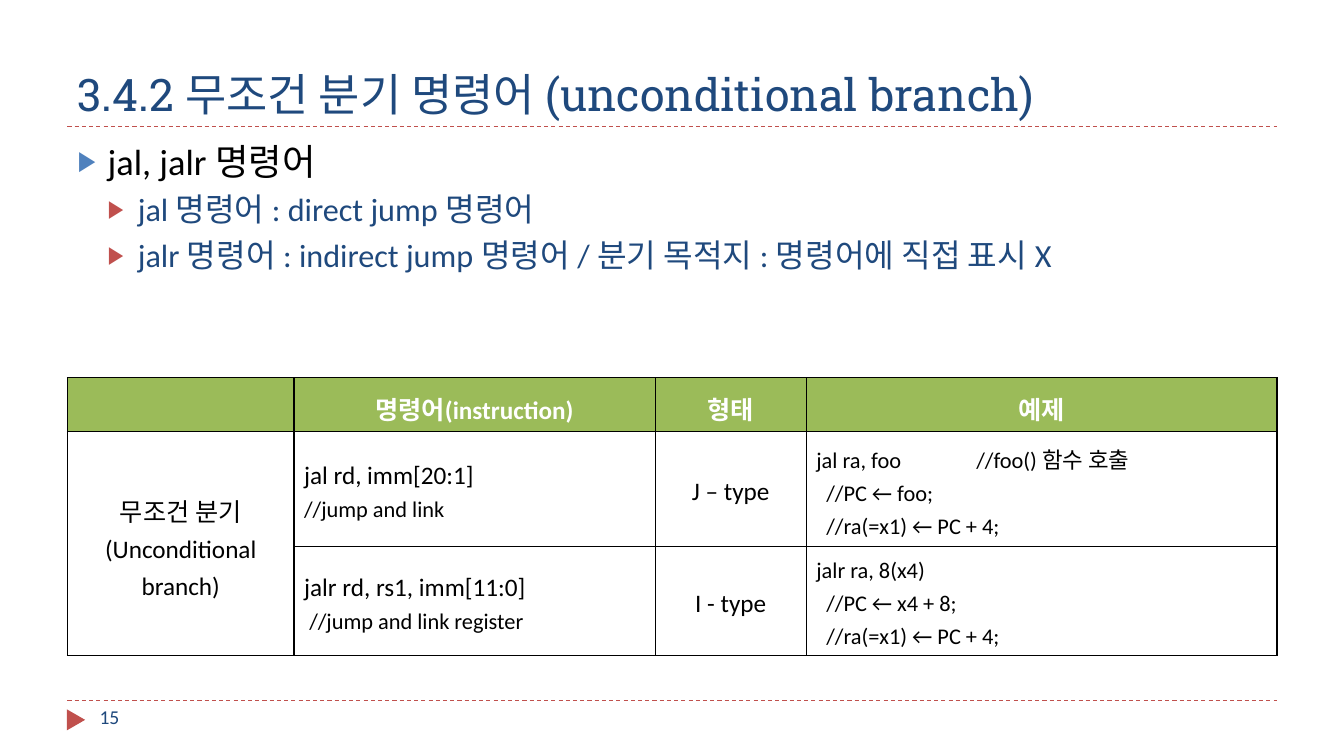
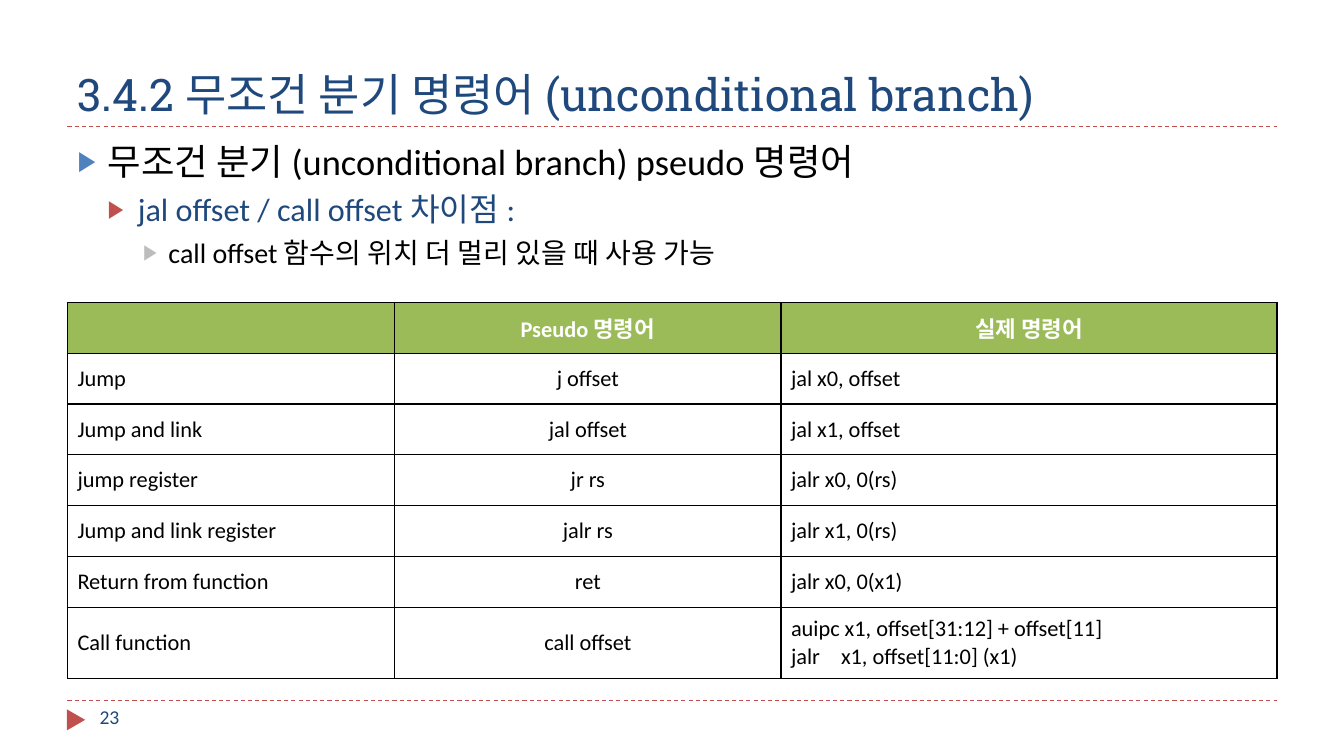
"""Build two lecture slides on unconditional branch instructions."""
import lxml.etree
import pptx
import pptx.dml.color
import pptx.enum.dml
import pptx.enum.shapes
import pptx.enum.text
import pptx.oxml.ns
import pptx.util

Cm = pptx.util.Cm
Pt = pptx.util.Pt
ALIGN = pptx.enum.text.PP_ALIGN
ANCHOR = pptx.enum.text.MSO_ANCHOR

NAVY, RED, BLUE, GRAY = "1F497D", "C0504D", "4F81BD", "BDBDBD"
GREEN, BLACK, WHITE = "9BBB59", "000000", "FFFFFF"
LEFT, WIDTH = 1.7, 30.48
TITLE = "3.4.2 무조건 분기 명령어 (unconditional branch)"

LEVELS = [
    {"size": 26, "color": BLACK, "bullet": BLUE, "before": 6, "margin": 0.76, "hang": 0.76},
    {"size": 23, "color": NAVY, "bullet": RED, "before": 5, "margin": 1.52, "hang": 0.76},
    {"size": 20, "color": BLACK, "bullet": GRAY, "before": 5, "margin": 2.29, "hang": 0.64},
]

# Table lines are plain text, or (text, size, indent in cm).
SLIDES = [
    {
        "number": "15",
        "title_width": 31.95,
        "points": [
            (0, "jal, jalr 명령어"),
            (1, "jal 명령어 : direct jump 명령어"),
            (1, "jalr 명령어 : indirect jump 명령어 / 분기 목적지 : 명령어에 직접 표시 X"),
        ],
        "table": {
            "top": 9.52,
            "columns": [5.71, 9.1, 3.81, 11.86],
            "heights": [1.35, 2.9, 2.75],
            "aligns": [ALIGN.CENTER, ALIGN.LEFT, ALIGN.CENTER, ALIGN.LEFT],
            "anchors": [ANCHOR.MIDDLE, ANCHOR.MIDDLE, ANCHOR.MIDDLE, ANCHOR.TOP],
            "sizes": [18, 18, 18, 16],
            "header_size": 18,
            "spacing": 1.2,
            "tab": 4.03,
            "merge": ((1, 0), (2, 0)),
            "rows": [
                [[], ["명령어(instruction)"], ["형태"], ["예제"]],
                [
                    ["무조건 분기", "(Unconditional", "branch)"],
                    ["jal rd, imm[20:1]", ("//jump and link", 16, 0)],
                    ["J – type"],
                    ["jal ra, foo\t//foo() 함수 호출", ("//PC ← foo;", 16, 0.25),
                     ("//ra(=x1) ← PC + 4;", 16, 0.25)],
                ],
                [
                    [],
                    ["jalr rd, rs1, imm[11:0]", ("//jump and link register", 16, 0.13)],
                    ["I - type"],
                    ["jalr ra, 8(x4)", ("//PC ← x4 + 8;", 16, 0.25),
                     ("//ra(=x1) ← PC + 4;", 16, 0.25)],
                ],
            ],
        },
    },
    {
        "number": "23",
        "title_width": WIDTH,
        "points": [
            (0, "무조건 분기 (unconditional branch) pseudo 명령어"),
            (1, "jal offset / call offset 차이점 :"),
            (2, "call offset 함수의 위치 더 멀리 있을 때 사용 가능"),
        ],
        "table": {
            "top": 7.62,
            "columns": [8.25, 9.73, 12.5],
            "heights": [1.28] * 6 + [1.8],
            "aligns": [ALIGN.LEFT, ALIGN.CENTER, ALIGN.LEFT],
            "anchors": [ANCHOR.MIDDLE] * 3,
            "sizes": [16] * 3,
            "header_size": 16,
            "spacing": 1.0,
            "tab": 1.26,
            "merge": None,
            "rows": [
                [[], ["Pseudo 명령어"], ["실제 명령어"]],
                [["Jump"], ["j offset"], ["jal x0, offset"]],
                [["Jump and link"], ["jal offset"], ["jal x1, offset"]],
                [["jump register"], ["jr rs"], ["jalr x0, 0(rs)"]],
                [["Jump and link register"], ["jalr rs"], ["jalr x1, 0(rs)"]],
                [["Return from function"], ["ret"], ["jalr x0, 0(x1)"]],
                [["Call function"], ["call offset"],
                 ["auipc x1, offset[31:12] + offset[11]", "jalr\tx1, offset[11:0] (x1)"]],
            ],
        },
    },
]


def rgb(value):
    """Turn a hex string into a colour."""
    return pptx.dml.color.RGBColor.from_string(value)


def assign(target, **values):
    """Set each named attribute on the target."""
    for name, value in values.items():
        setattr(target, name, value)


def child(parent, tag, **attributes):
    """Append a DrawingML element with the given attributes."""
    element = lxml.etree.SubElement(parent, pptx.oxml.ns.qn("a:" + tag))
    for name, value in attributes.items():
        element.set(name, str(value))
    return element


def write(paragraph, text, size, color, font="Calibri", bold=False):
    """Add one formatted run to a paragraph."""
    run = paragraph.add_run()
    run.text = text
    assign(run.font, size=Pt(size), name=font, bold=bold)
    run.font.color.rgb = rgb(color)


def place(part, left, top, width, height):
    """Move and size a part, in centimetres."""
    assign(part, left=Cm(left), top=Cm(top), width=Cm(width), height=Cm(height))


def paragraphs(frame, count):
    """Return the first paragraph of a frame and enough new ones."""
    return [frame.paragraphs[0]] + [frame.add_paragraph() for _ in range(count - 1)]


def add_title(slide, width):
    """Fill the title placeholder."""
    title = slide.shapes.title
    place(title, LEFT, 0.43, width, 2.74)
    assign(title.text_frame, vertical_anchor=ANCHOR.BOTTOM, word_wrap=True,
           auto_size=pptx.enum.text.MSO_AUTO_SIZE.NONE)
    heading = title.text_frame.paragraphs[0]
    heading.alignment = ALIGN.LEFT
    write(heading, TITLE, 32, NAVY, "Roboto Slab")


def add_points(slide, points):
    """Fill the body placeholder with arrow bullets."""
    body = slide.placeholders[1]
    place(body, LEFT, 3.38, WIDTH, 13.72)
    assign(body.text_frame, vertical_anchor=ANCHOR.TOP, word_wrap=True,
           auto_size=pptx.enum.text.MSO_AUTO_SIZE.NONE)
    for point, (level, text) in zip(paragraphs(body.text_frame, len(points)), points):
        style = LEVELS[level]
        assign(point, level=level, space_before=Pt(style["before"]))
        properties = point._p.get_or_add_pPr()
        properties.set("marL", str(Cm(style["margin"])))
        properties.set("indent", str(-Cm(style["hang"])))
        child(child(properties, "buClr"), "srgbClr", val=style["bullet"])
        child(properties, "buSzPct", val=76000)
        child(properties, "buChar", char="▶")
        write(point, text, style["size"], style["color"])


def add_frame(slide, number):
    """Add the dashed rules, the page marker and the page number."""
    for height in (17.65, 3.18):
        rule = slide.shapes.add_connector(
            pptx.enum.shapes.MSO_CONNECTOR.STRAIGHT,
            Cm(LEFT), Cm(height), Cm(LEFT + WIDTH), Cm(height))
        rule.line.color.rgb = rgb(RED)
        assign(rule.line, width=Pt(0.75), dash_style=pptx.enum.dml.MSO_LINE.DASH)
        child(rule._element.spPr, "effectLst")
    marker = slide.shapes.add_shape(
        pptx.enum.shapes.MSO_SHAPE.ISOSCELES_TRIANGLE, Cm(1.65), Cm(17.91), Cm(0.53), Cm(0.46))
    marker.rotation = 90
    marker.shadow.inherit = False
    marker.fill.solid()
    marker.fill.fore_color.rgb = rgb(RED)
    marker.line.fill.background()
    page = slide.shapes.add_textbox(Cm(2.26), Cm(17.65), Cm(7.34), Cm(1.02))
    page.text_frame.word_wrap = True
    write(page.text_frame.paragraphs[0], number, 14, NAVY)


def style_cell(cell, fill):
    """Give a cell black borders and a solid fill."""
    properties = cell._tc.get_or_add_tcPr()
    for side in ("lnL", "lnR", "lnT", "lnB"):
        border = child(properties, side, w=Pt(1))
        child(child(border, "solidFill"), "srgbClr", val=BLACK)
    cell.fill.solid()
    cell.fill.fore_color.rgb = rgb(fill)


def fill_cell(cell, lines, size, color, bold, align, layout):
    """Write the lines of a cell, with indents and tab stops."""
    for paragraph, line in zip(paragraphs(cell.text_frame, len(lines)), lines):
        text, points, indent = (line, size, 0) if isinstance(line, str) else line
        assign(paragraph, alignment=align, line_spacing=layout["spacing"])
        properties = paragraph._p.get_or_add_pPr()
        if indent:
            properties.set("marL", str(Cm(indent)))
        if "\t" in text:
            child(child(properties, "tabLst"), "tab", pos=Cm(layout["tab"]), algn="l")
        write(paragraph, text, points, color, bold=bold)


def add_instructions(slide, layout):
    """Add the instruction table."""
    rows, columns, heights = layout["rows"], layout["columns"], layout["heights"]
    table = slide.shapes.add_table(
        len(rows), len(columns), Cm(LEFT), Cm(layout["top"]), Cm(WIDTH), Cm(sum(heights))).table
    table.horz_banding = False
    for column, width in zip(table.columns, columns):
        column.width = Cm(width)
    for index, (row, height) in enumerate(zip(rows, heights)):
        table.rows[index].height = Cm(height)
        header = index == 0
        for position, lines in enumerate(row):
            cell = table.cell(index, position)
            style_cell(cell, GREEN if header else WHITE)
            cell.vertical_anchor = ANCHOR.MIDDLE if header else layout["anchors"][position]
            fill_cell(cell, lines,
                      layout["header_size"] if header else layout["sizes"][position],
                      WHITE if header else BLACK, header,
                      ALIGN.CENTER if header else layout["aligns"][position], layout)
    if layout["merge"]:
        first, last = layout["merge"]
        table.cell(*first).merge(table.cell(*last))


deck = pptx.Presentation()
assign(deck, slide_width=Cm(33.87), slide_height=Cm(19.05))
for content in SLIDES:
    slide = deck.slides.add_slide(deck.slide_layouts[1])
    add_frame(slide, content["number"])
    add_title(slide, content["title_width"])
    add_points(slide, content["points"])
    add_instructions(slide, content["table"])
deck.save("out.pptx")
